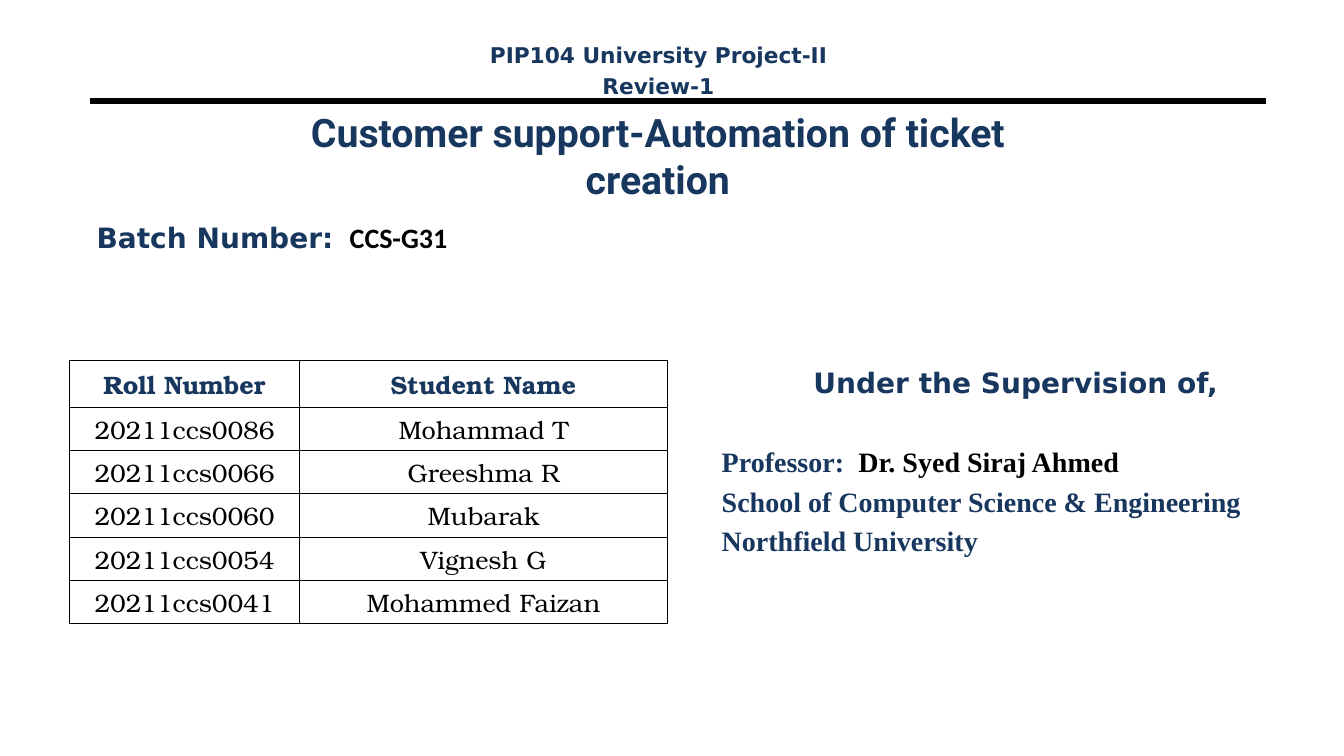
from dataclasses import dataclass

from lxml import etree
from pptx import Presentation
from pptx import util as u
from pptx.dml.color import RGBColor
from pptx.enum import shapes, text
from pptx.oxml.ns import qn

NAVY, BLACK = "17375E", "000000"
SANS, SERIF, BOOK = "DejaVu Sans", "Times New Roman", "TeX Gyre Bonum"
LEFT, MID = text.PP_ALIGN.LEFT, text.PP_ALIGN.CENTER


@dataclass
class Run:
    words: str
    size: float
    face: str
    color: str = NAVY
    bold: bool = True


@dataclass
class Para:
    runs: list[Run]
    align: int = LEFT
    gap: float = 0


@dataclass
class Block:
    area: tuple[float, float, float, float]
    paras: list[Para]
    anchor: int = text.MSO_ANCHOR.TOP


def paint(color: str) -> RGBColor:
    return RGBColor.from_string(color)


def add_run(line, run: Run) -> None:
    look = {"name": run.face, "size": u.Pt(run.size), "bold": run.bold}
    for i, words in enumerate(run.words.split("\n")):
        if i:
            line.add_line_break()
        piece = line.add_run()
        piece.text = words
        for key, value in look.items():
            setattr(piece.font, key, value)
        piece.font.color.rgb = paint(run.color)


def write(frame, paras: list[Para]) -> None:
    for i, para in enumerate(paras):
        line = frame.add_paragraph() if i else frame.paragraphs[0]
        line.alignment = para.align
        line.space_before = u.Pt(para.gap)
        for run in para.runs:
            add_run(line, run)


def draw_block(slide, block: Block) -> None:
    frame = slide.shapes.add_textbox(*map(u.Inches, block.area)).text_frame
    frame.word_wrap = True
    frame.vertical_anchor = block.anchor
    write(frame, block.paras)


def draw_rule(slide, left: float, right: float, top: float) -> None:
    rule = slide.shapes.add_connector(
        shapes.MSO_CONNECTOR.STRAIGHT, *map(u.Inches, (left, top, right, top)))
    rule.line.width = u.Pt(4.5)
    rule.line.color.rgb = paint(BLACK)
    etree.SubElement(rule._element.spPr, qn("a:effectLst"))


def edge_cell(cell) -> None:
    props = cell._tc.get_or_add_tcPr()
    for i, side in enumerate(("lnL", "lnR", "lnT", "lnB")):
        edge = etree.Element(qn(f"a:{side}"), w=str(u.Pt(1)))
        fill = etree.SubElement(edge, qn("a:solidFill"))
        etree.SubElement(fill, qn("a:srgbClr"), val=BLACK)
        props.insert(i, edge)


def draw_table(slide, rows: list[tuple[str, str]]) -> None:
    widths, head, body = (2.28, 3.65), 0.46, 0.43
    area = (0.69, 3.58, sum(widths), head + body * (len(rows) - 1))
    table = slide.shapes.add_table(
        len(rows), len(widths), *map(u.Inches, area)).table
    for col, width in zip(table.columns, widths):
        col.width = u.Inches(width)
    for r, row in enumerate(rows):
        table.rows[r].height = u.Inches(body if r else head)
        for c, words in enumerate(row):
            cell = table.cell(r, c)
            cell.fill.background()
            cell.vertical_anchor = text.MSO_ANCHOR.MIDDLE
            run = Run(words, 18, BOOK, BLACK if r else NAVY, r == 0)
            write(cell.text_frame, [Para([run], MID)])
            edge_cell(cell)


STUDENTS = [
    ("Roll Number", "Student Name"),
    ("20211ccs0086", "Mohammad T"),
    ("20211ccs0066", "Greeshma R"),
    ("20211ccs0060", "Mubarak"),
    ("20211ccs0054", "Vignesh G"),
    ("20211ccs0041", "Mohammed Faizan"),
]

BLOCKS = [
    # Title
    Block((0.86, 1.17, 11.33, 0.74), [
        Para([Run("Customer support-Automation of ticket\ncreation", 28, "Roboto")], MID),
    ], text.MSO_ANCHOR.MIDDLE),
    # Batch
    Block((0.86, 2.14, 4.34, 0.6), [
        Para([Run("Batch Number: ", 20, SANS), Run(" CCS-G31", 20, "Calibri", BLACK)]),
    ]),
    # Supervisor
    Block((7.06, 3.58, 6.03, 2.66), [
        Para([Run("Under the Supervision of,", 20, SANS)], MID),
        Para([Run("Professor:  ", 20, SERIF),
              Run("Dr. Syed Siraj Ahmed", 20, SERIF, BLACK)], gap=32.5),
        Para([Run("School of Computer Science & Engineering", 20, SERIF)], gap=4),
        Para([Run("Northfield University", 20, SERIF)], gap=4),
    ]),
    # Course and review
    Block((4.36, 0.37, 4.34, 0.6), [
        Para([Run("PIP104 University Project-II", 15.5, SANS)], MID),
        Para([Run("Review-1", 15.5, SANS)], MID, 3),
    ]),
]


def main() -> None:
    deck = Presentation()
    deck.slide_width, deck.slide_height = u.Inches(13.33), u.Inches(7.5)
    slide = deck.slides.add_slide(deck.slide_layouts[6])
    draw_rule(slide, 0.89, 12.56, 1)
    for block in BLOCKS:
        draw_block(slide, block)
    draw_table(slide, STUDENTS)
    deck.save("out.pptx")


if __name__ == "__main__":
    main()
